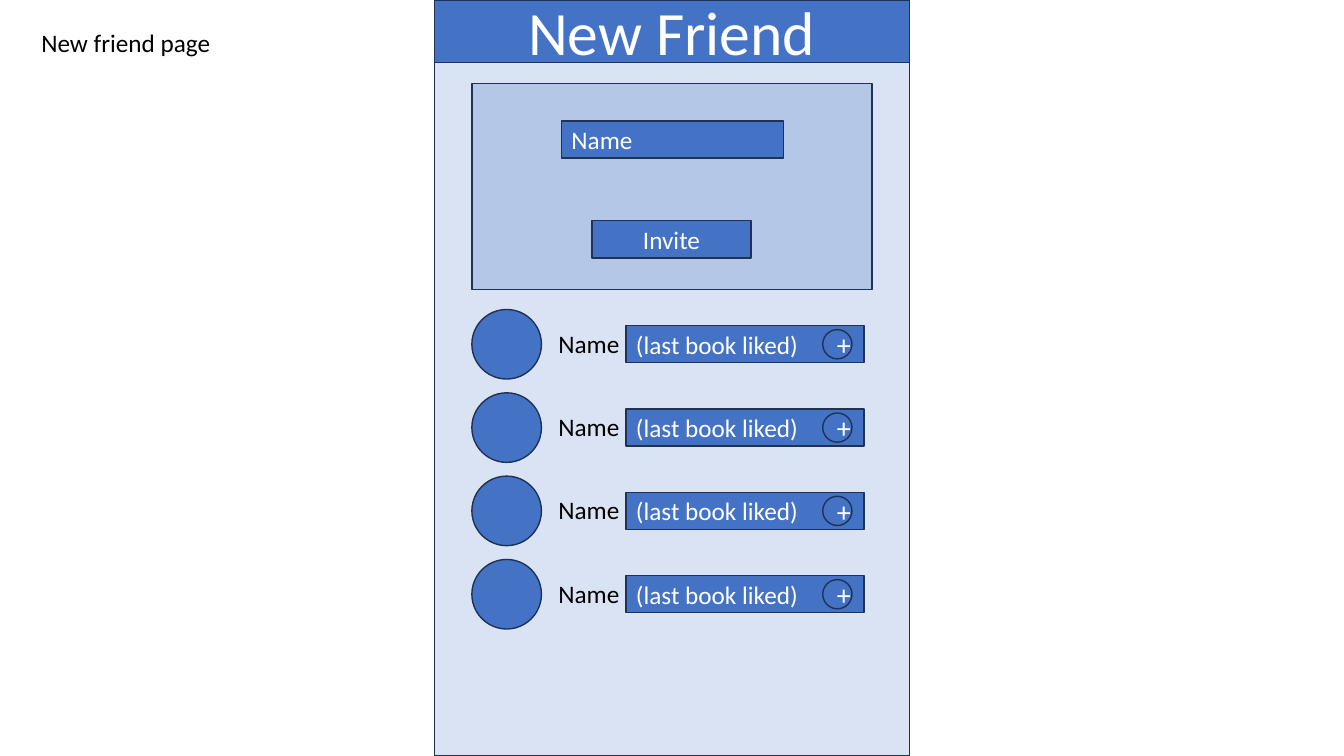
"""Build the wireframe slide of the New Friend page."""
from pptx import Presentation
from pptx.dml.color import RGBColor
from pptx.enum.shapes import MSO_SHAPE
from pptx.enum.text import MSO_ANCHOR, MSO_AUTO_SIZE, PP_ALIGN
from pptx.util import Inches, Pt

COLORS = {
    "panel": "DAE3F3",
    "card": "B4C7E7",
    "accent": "4472C4",
    "outline": "1E3256",
    "white": "FFFFFF",
    "black": "000000",
}
FONT = "Calibri"
CAPTION = "New friend page"
HEADER = "New Friend"
FRIENDS = [("Name", "(last book liked)", "+")] * 4

PANEL_X, PANEL_W, PANEL_H = 4.31, 4.71, 7.5
CARD_X, CARD_W = 4.68, 3.97
FIELD_H = 0.37
AVATAR, BUTTON = 0.69, 0.29
FIRST_ROW, LAST_ROW = 3.07, 5.55


def rgb(name):
    return RGBColor.from_string(COLORS[name])


def write(sp, text, size, color, align=PP_ALIGN.LEFT, anchor=MSO_ANCHOR.MIDDLE):
    tf = sp.text_frame
    tf.vertical_anchor = anchor
    p = tf.paragraphs[0]
    p.alignment = align
    r = p.add_run()
    r.text = text
    r.font.name = FONT
    r.font.size = Pt(size)
    r.font.color.rgb = rgb(color)
    return tf


def place(sp, x, y, w, h):
    sp.left, sp.top, sp.width, sp.height = (Inches(v) for v in (x, y, w, h))


def add_block(s, x, y, w, h, fill="accent", kind=MSO_SHAPE.RECTANGLE):
    sp = s.shapes.add_shape(kind, *(Inches(v) for v in (x, y, w, h)))
    sp.shadow.inherit = False
    sp.fill.solid()
    sp.fill.fore_color.rgb = rgb(fill)
    sp.line.color.rgb = rgb("outline")
    sp.line.width = Pt(1)
    return sp


def add_friend(s, y, name, book, sign):
    circle = MSO_SHAPE.FLOWCHART_CONNECTOR
    middle = y + AVATAR / 2
    add_block(s, CARD_X, y, AVATAR, AVATAR, kind=circle)
    field = add_block(s, 6.21, middle - FIELD_H / 2, 2.36, FIELD_H)
    write(field, book, 18, "white")
    button = add_block(s, 8.16, middle - BUTTON / 2, BUTTON, BUTTON, kind=circle)
    write(button, sign, 20, "white", PP_ALIGN.CENTER)
    label = s.shapes.add_textbox(*(Inches(v) for v in (5.44, middle - 0.21, 1.03, 0.4)))
    tf = write(label, name, 18, "black", anchor=MSO_ANCHOR.TOP)
    tf.word_wrap = True
    tf.auto_size = MSO_AUTO_SIZE.SHAPE_TO_FIT_TEXT


def main():
    prs = Presentation()
    prs.slide_width, prs.slide_height = Inches(13.33), Inches(7.5)
    s = prs.slides.add_slide(prs.slide_layouts[5])

    caption = s.shapes.title
    place(caption, 0.31, 0.22, 1.9, 0.4)
    tf = write(caption, CAPTION, 18, "black", anchor=MSO_ANCHOR.TOP)
    tf.word_wrap = False
    tf.auto_size = MSO_AUTO_SIZE.SHAPE_TO_FIT_TEXT

    add_block(s, PANEL_X, 0, PANEL_W, PANEL_H, "panel")
    header = add_block(s, PANEL_X, 0, PANEL_W, 0.62)
    write(header, HEADER, 44, "white", PP_ALIGN.CENTER)

    add_block(s, CARD_X, 0.83, CARD_W, 2.04, "card")
    invite = add_block(s, 5.87, 2.19, 1.58, FIELD_H)
    write(invite, "Invite", 18, "white", PP_ALIGN.CENTER)
    name_field = add_block(s, 5.57, 1.2, 2.2, FIELD_H)
    write(name_field, "Name", 18, "white")

    pitch = (LAST_ROW - FIRST_ROW) / (len(FRIENDS) - 1)
    for i, friend in enumerate(FRIENDS):
        add_friend(s, FIRST_ROW + i * pitch, *friend)

    prs.save("out.pptx")


if __name__ == "__main__":
    main()
